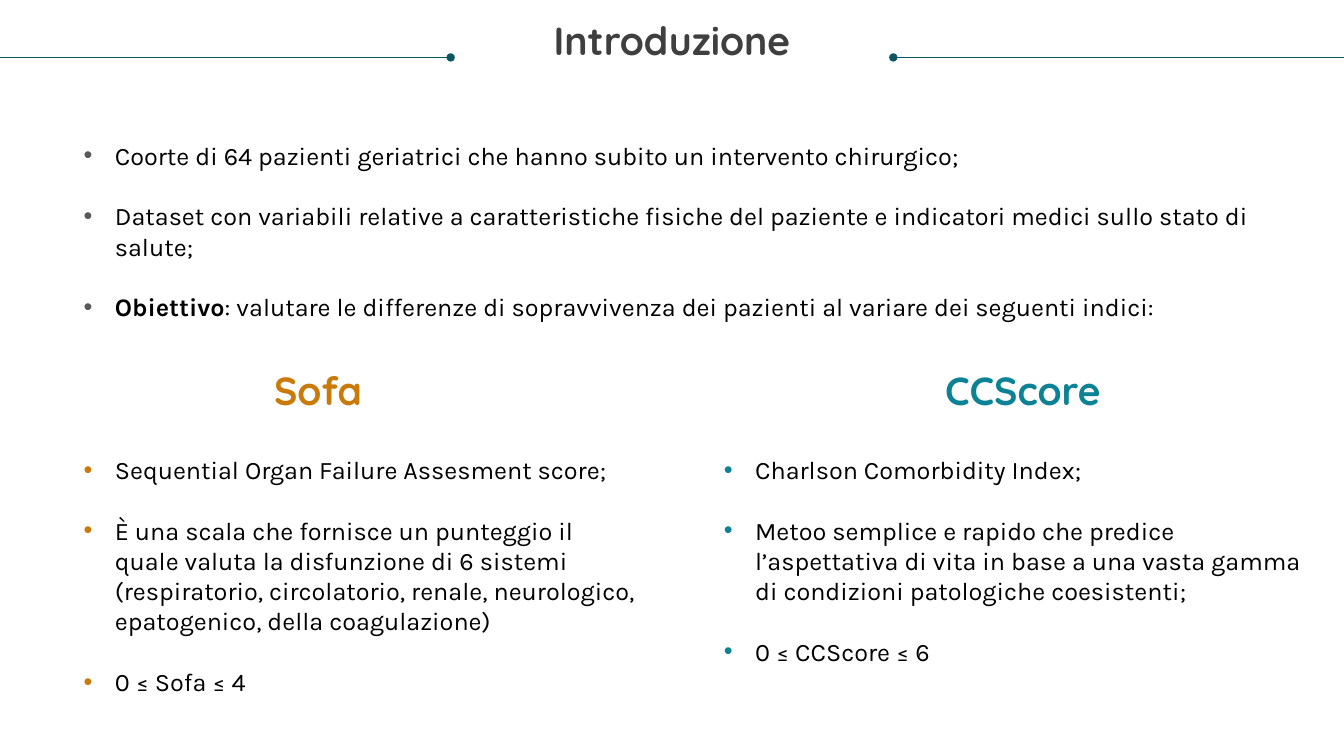
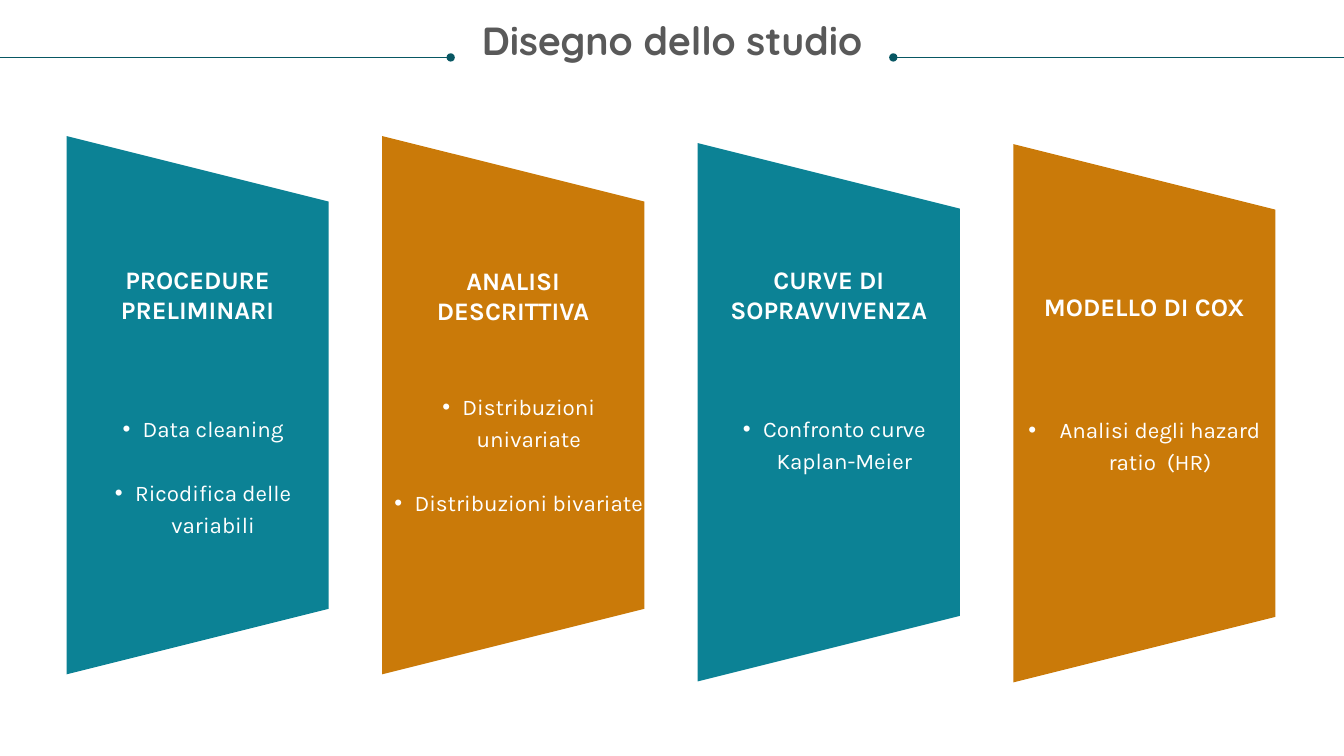
"""Build two slides introducing a survival study and its design."""
from dataclasses import dataclass, replace
from typing import NamedTuple

from lxml import etree
from pptx import Presentation
from pptx.dml.color import RGBColor
from pptx.enum.shapes import MSO_CONNECTOR, MSO_SHAPE
from pptx.enum.text import PP_ALIGN
from pptx.oxml.ns import qn
from pptx.slide import Slide
from pptx.util import Inches, Pt

LEFT = PP_ALIGN.LEFT
CENTER = PP_ALIGN.CENTER
STRAIGHT = MSO_CONNECTOR.STRAIGHT
TRAPEZOID = MSO_SHAPE.TRAPEZOID


@dataclass(frozen=True)
class Theme:
    teal: str = "0C8295"
    orange: str = "CA7A09"
    rule: str = "085763"
    charcoal: str = "3F3F3F"
    gray: str = "595959"
    black: str = "000000"
    white: str = "FFFFFF"
    display: str = "Quicksand"
    body: str = "Karla"
    title_size: float = 28
    body_size: float = 18
    detail_size: float = 16


THEME = Theme()


@dataclass(frozen=True)
class TextStyle:
    font: str
    size: float
    color: str
    bold: bool = False
    align: PP_ALIGN = CENTER
    spacing: float = 1.0
    gap: float = 0
    bullet: str = ""
    hanging: float = 0.31


class Box(NamedTuple):
    left: float
    top: float
    width: float
    height: float


class Item(NamedTuple):
    text: str
    lead: str = ""


class Score(NamedTuple):
    name: str
    color: str
    heading: Box
    details: Box
    items: tuple[Item, ...]


class Stage(NamedTuple):
    name: str
    color: str
    top: float
    heading_top: float
    list_top: float
    items: tuple[Item, ...]
    list_inset: float = 0
    hanging: float = 0.2


TITLE = TextStyle(THEME.display, THEME.title_size, THEME.gray, bold=True, spacing=0.9)
POINTS = TextStyle(THEME.body, THEME.body_size, THEME.black, align=LEFT, gap=21.6,
                   bullet=THEME.gray)
STAGE_HEADING = TextStyle(THEME.body, THEME.body_size, THEME.white, bold=True)
STAGE_LIST = TextStyle(THEME.body, THEME.detail_size, THEME.white, spacing=1.19, gap=22.9,
                       bullet=THEME.white)

SLIDE_WIDTH, SLIDE_HEIGHT = 13.33, 7.5
RULE_Y, RULE_LENGTH = 0.57, 4.47
INDENT = 0.31
STAGE_LEFT, STAGE_PITCH = 0.66, 3.13
STAGE_WIDTH, STAGE_HEIGHT = 2.6, 5.34
HEADING_INSET = 0.17

AIMS = (
    Item("Coorte di 64 pazienti geriatrici che hanno subito un intervento chirurgico;"),
    Item("Dataset con variabili relative a caratteristiche fisiche del paziente e "
         "indicatori medici sullo stato di salute;"),
    Item(": valutare le differenze di sopravvivenza dei pazienti al variare dei "
         "seguenti indici:", lead="Obiettivo"),
)

SCORES = (
    Score("Sofa", THEME.orange, Box(1.32, 3.69, 3.67, 0.43), Box(0.83, 4.51, 5.47, 2.42), (
        Item("Sequential Organ Failure Assesment score;"),
        Item("È una scala che fornisce un punteggio il quale valuta la disfunzione di "
             "6 sistemi (respiratorio, circolatorio, renale, neurologico, epatogenico, "
             "della coagulazione)"),
        Item("0 ≤ Sofa ≤ 4"),
    )),
    Score("CCScore", THEME.teal, Box(8.31, 3.69, 3.67, 0.43), Box(7.18, 4.51, 5.8, 2.4), (
        Item("Charlson Comorbidity Index;"),
        Item("Metoo semplice e rapido che predice l’aspettativa di vita in base a una "
             "vasta gamma di condizioni patologiche coesistenti;"),
        Item("0 ≤ CCScore ≤ 6"),
    )),
)

STAGES = (
    Stage("PROCEDURE PRELIMINARI", THEME.teal, 1.35, 2.62, 4.07,
          (Item("Data cleaning"), Item("Ricodifica delle variabili"))),
    Stage("ANALISI DESCRITTIVA", THEME.orange, 1.35, 2.63, 3.85,
          (Item("Distribuzioni univariate"), Item("Distribuzioni bivariate"))),
    Stage("CURVE DI SOPRAVVIVENZA", THEME.teal, 1.42, 2.62, 4.07,
          (Item("Confronto curve Kaplan-Meier"),)),
    Stage("MODELLO DI COX", THEME.orange, 1.43, 2.89, 4.08,
          (Item("Analisi degli hazard ratio  (HR)"),), list_inset=0.05, hanging=0.31),
)


def add_text(slide: Slide, box: Box, items: tuple[Item, ...], style: TextStyle) -> None:
    """Write one paragraph per item in a box without margins."""
    frame = slide.shapes.add_textbox(*map(Inches, box)).text_frame
    frame.word_wrap = True
    frame.margin_left = frame.margin_right = frame.margin_top = frame.margin_bottom = 0
    for index, item in enumerate(items):
        paragraph = frame.add_paragraph() if index else frame.paragraphs[0]
        if style.bullet:
            properties = paragraph._p.get_or_add_pPr()
            properties.set("marL", str(Inches(INDENT)))
            properties.set("indent", str(-Inches(style.hanging)))
            color = etree.SubElement(properties, qn("a:buClr"))
            etree.SubElement(color, qn("a:srgbClr"), val=style.bullet)
            etree.SubElement(properties, qn("a:buFont"), typeface="Arial")
            etree.SubElement(properties, qn("a:buChar"), char="•")
        paragraph.alignment = style.align
        paragraph.line_spacing = style.spacing
        paragraph.space_after = Pt(style.gap)
        paragraph.font.name = style.font
        paragraph.font.size = Pt(style.size)
        paragraph.font.bold = style.bold
        paragraph.font.color.rgb = RGBColor.from_string(style.color)
        if item.lead:
            lead = paragraph.add_run()
            lead.text = item.lead
            lead.font.bold = True
        paragraph.add_run().text = item.text


def add_rule(slide: Slide, inner: float, outer: float) -> None:
    """Draw a title rule with a dot at its inner end."""
    rule = slide.shapes.add_connector(STRAIGHT, Inches(inner), Inches(RULE_Y),
                                      Inches(outer), Inches(RULE_Y))
    rule.line.color.rgb = RGBColor.from_string(THEME.rule)
    rule.line.width = Pt(0.75)
    etree.SubElement(rule.line._get_or_add_ln(), qn("a:headEnd"), type="oval")
    etree.SubElement(rule._element.spPr, qn("a:effectLst"))


def add_titled_slide(deck: Presentation, title: str, color: str) -> Slide:
    """Add a blank slide with a centred title between two rules."""
    slide = deck.slides.add_slide(deck.slide_layouts[6])
    add_rule(slide, RULE_LENGTH, 0)
    add_rule(slide, SLIDE_WIDTH - RULE_LENGTH, SLIDE_WIDTH)
    add_text(slide, Box(0.25, 0.21, 12.83, 0.42), (Item(title),), replace(TITLE, color=color))
    return slide


def add_score(slide: Slide, score: Score) -> None:
    """Write a score heading and its bullet points."""
    add_text(slide, score.heading, (Item(score.name),), replace(TITLE, color=score.color))
    add_text(slide, score.details, score.items, replace(POINTS, bullet=score.color))


def add_stage(slide: Slide, stage: Stage, left: float) -> None:
    """Draw a study stage as a panel with a heading and a list."""
    turn = (STAGE_HEIGHT - STAGE_WIDTH) / 2
    panel = slide.shapes.add_shape(TRAPEZOID, Inches(left - turn), Inches(stage.top + turn),
                                   Inches(STAGE_HEIGHT), Inches(STAGE_WIDTH))
    panel.rotation = 90
    panel.adjustments[0] = 0.25
    panel.shadow.inherit = False
    panel.fill.solid()
    panel.fill.fore_color.rgb = RGBColor.from_string(stage.color)
    panel.line.fill.background()
    heading = Box(left + HEADING_INSET, stage.heading_top, STAGE_WIDTH - 2 * HEADING_INSET, 0.61)
    add_text(slide, heading, (Item(stage.name),), STAGE_HEADING)
    details = Box(left + stage.list_inset, stage.list_top,
                  STAGE_WIDTH - 2 * stage.list_inset, 1.28)
    add_text(slide, details, stage.items, replace(STAGE_LIST, hanging=stage.hanging))


def main() -> None:
    """Build and save the deck."""
    deck = Presentation()
    deck.slide_width, deck.slide_height = Inches(SLIDE_WIDTH), Inches(SLIDE_HEIGHT)

    introduction = add_titled_slide(deck, "Introduzione", THEME.charcoal)
    add_text(introduction, Box(0.83, 1.39, 11.75, 1.51), AIMS, POINTS)
    for score in SCORES:
        add_score(introduction, score)

    design = add_titled_slide(deck, "Disegno dello studio", THEME.gray)
    for index, stage in enumerate(STAGES):
        add_stage(design, stage, STAGE_LEFT + index * STAGE_PITCH)

    deck.save("out.pptx")


if __name__ == "__main__":
    main()
